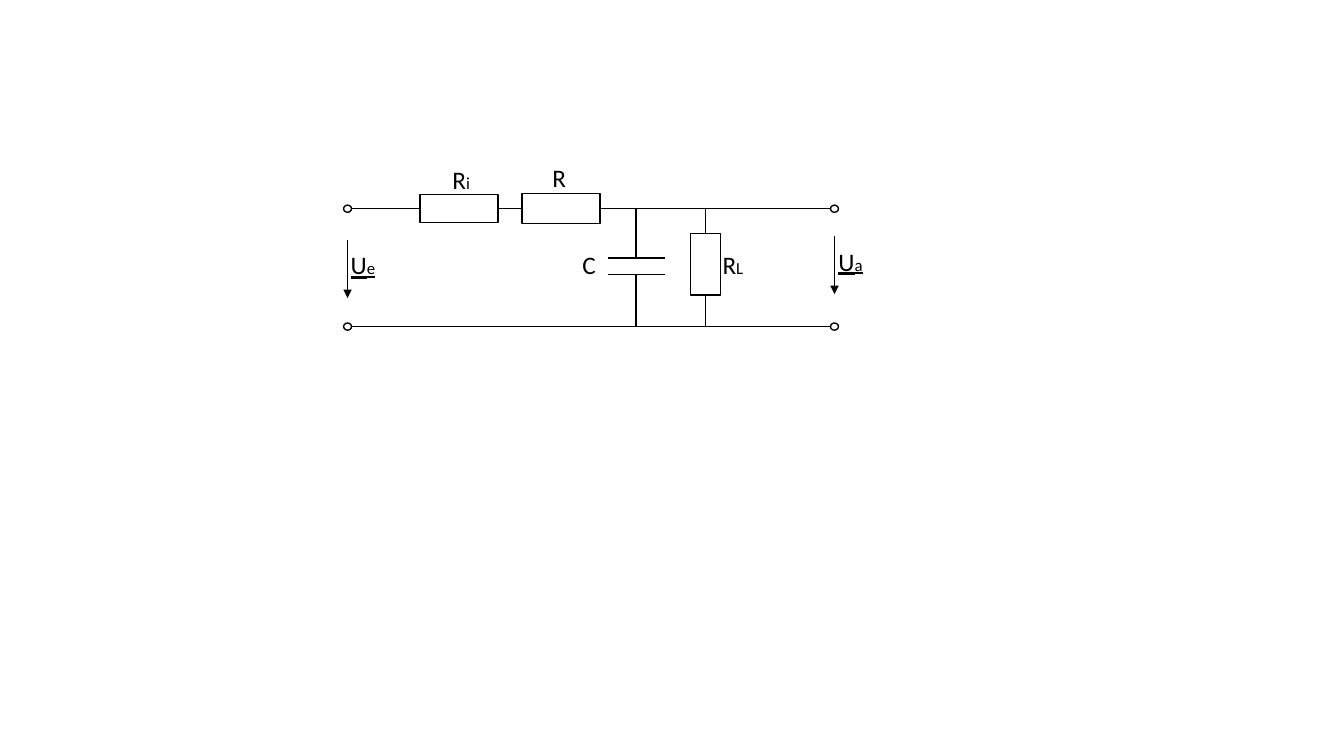
import pptx
import pptx.util
import pptx.dml.color
import pptx.enum.shapes
import pptx.enum.text
import pptx.oxml.ns
import lxml.etree

Cm = pptx.util.Cm
Pt = pptx.util.Pt
Kind = pptx.enum.shapes.MSO_SHAPE


class Sketch:
    colors = {"ink": "000000"}
    font = "Calibri"
    big, small = 18, 12

    def __init__(self, slide):
        self.slide = slide

    def ink(self):
        return pptx.dml.color.RGBColor.from_string(self.colors["ink"])

    def stroke(self, line, width):
        line.color.rgb = self.ink()
        line.width = Pt(width)

    def wire(self, x1, y1, x2, y2, width=1, arrow=False):
        wire = self.slide.shapes.add_connector(
            pptx.enum.shapes.MSO_CONNECTOR.STRAIGHT, Cm(x1), Cm(y1), Cm(x2), Cm(y2))
        self.stroke(wire.line, width)
        qn = pptx.oxml.ns.qn
        if arrow:
            tip = lxml.etree.SubElement(wire.line._get_or_add_ln(), qn("a:tailEnd"))
            tip.set("type", "triangle")
        lxml.etree.SubElement(wire._element.spPr, qn("a:effectLst"))

    def shape(self, kind, mid_x, mid_y, wide, high):
        shape = self.slide.shapes.add_shape(
            kind, Cm(mid_x - wide / 2), Cm(mid_y - high / 2), Cm(wide), Cm(high))
        shape.shadow.inherit = False
        shape.fill.background()
        self.stroke(shape.line, 1)

    def label(self, x, y, wide, name, index="", under=None):
        box = self.slide.shapes.add_textbox(Cm(x), Cm(y), Cm(wide), Cm(1.02))
        frame = box.text_frame
        frame.word_wrap = False
        frame.auto_size = pptx.enum.text.MSO_AUTO_SIZE.SHAPE_TO_FIT_TEXT
        frame.text = name
        line = frame.paragraphs[0]
        if index:
            line.add_run().text = index
        for run, size in zip(line.runs, (self.big, self.small)):
            run.font.name = self.font
            run.font.size = Pt(size)
            run.font.color.rgb = self.ink()
            run.font.underline = under


deck = pptx.Presentation()
deck.slide_width, deck.slide_height = Cm(33.87), Cm(19.05)
sketch = Sketch(deck.slides.add_slide(deck.slide_layouts[6]))

top, base = 5.26, 8.23
left, right = 8.76, 21.03
gap = 0.1
cap_x, load_x = 16.03, 17.78
plates = 6.5, 6.91
load_top, load_base = 5.89, 7.44

for start, end in ((left + gap, 10.59), (12.55, 13.16), (15.12, right - gap)):
    sketch.wire(start, top, end, top)
sketch.wire(left + gap, base, right - gap, base)

for x, upper, lower in ((cap_x, *plates), (load_x, load_top, load_base)):
    sketch.wire(x, top, x, upper)
    sketch.wire(x, lower, x, base)
for y in plates:
    sketch.wire(cap_x - 0.72, y, cap_x + 0.72, y)

sketch.shape(Kind.RECTANGLE, 11.57, top, 1.96, 0.71)
sketch.shape(Kind.RECTANGLE, 14.14, top, 1.96, 0.76)
sketch.shape(Kind.RECTANGLE, load_x, (load_top + load_base) / 2, 0.76, load_base - load_top)

for x in (left, right):
    for y in (top, base):
        sketch.shape(Kind.OVAL, x, y, 2 * gap, 0.18)

for x, y in ((left, 6.05), (right, 5.95)):
    sketch.wire(x, y, x, y + 1.46, 0.5, True)

sketch.label(14.43, 6.15, 0.86, "C")
sketch.label(11.15, 4.01, 0.99, "R", "i")
sketch.label(13.67, 3.96, 0.86, "R")
sketch.label(17.96, 6.15, 1.04, "R", "L")
sketch.label(8.59, 6.17, 1.14, "U", "e", True)
sketch.label(20.88, 6.07, 1.12, "U", "a", True)

deck.save("out.pptx")
